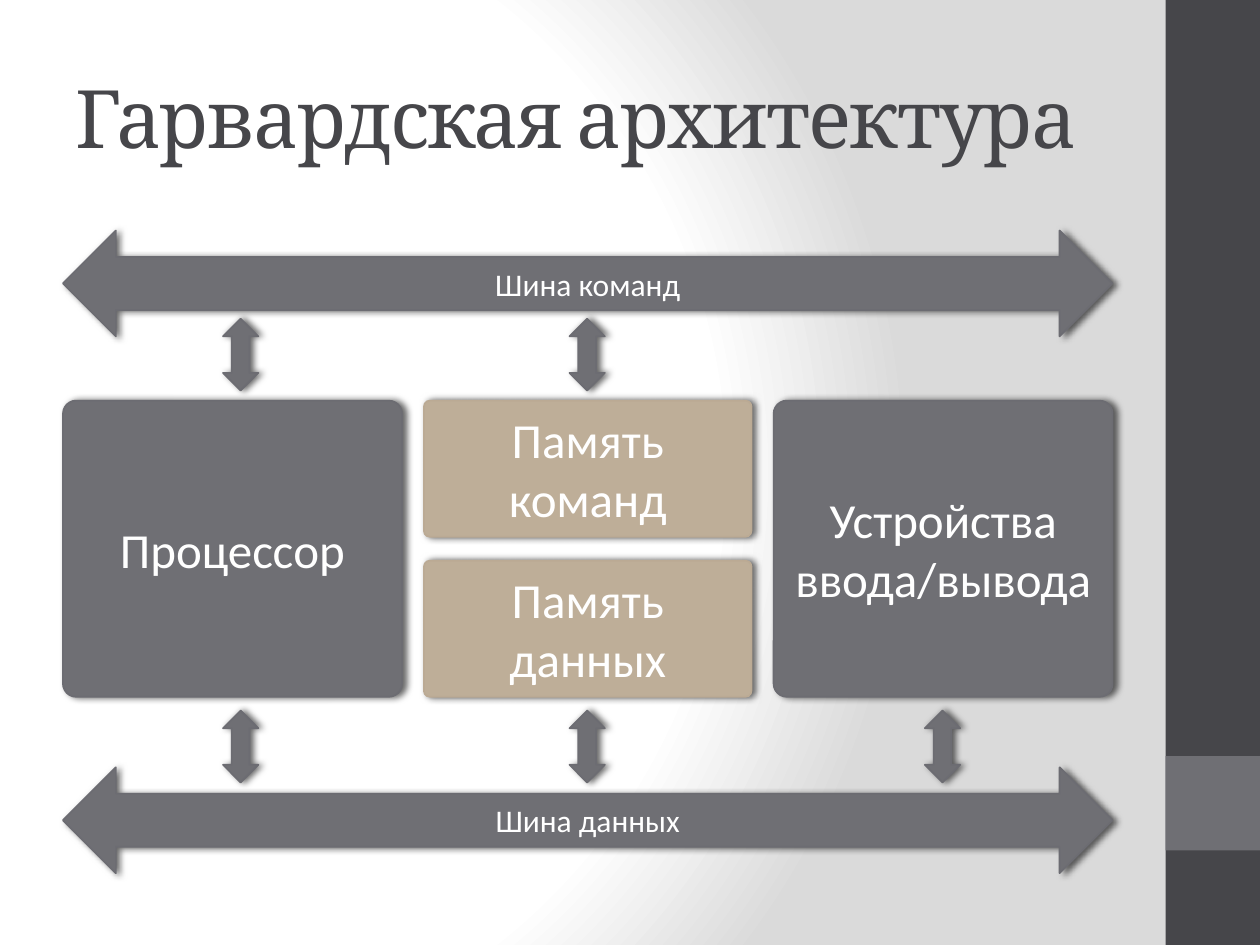
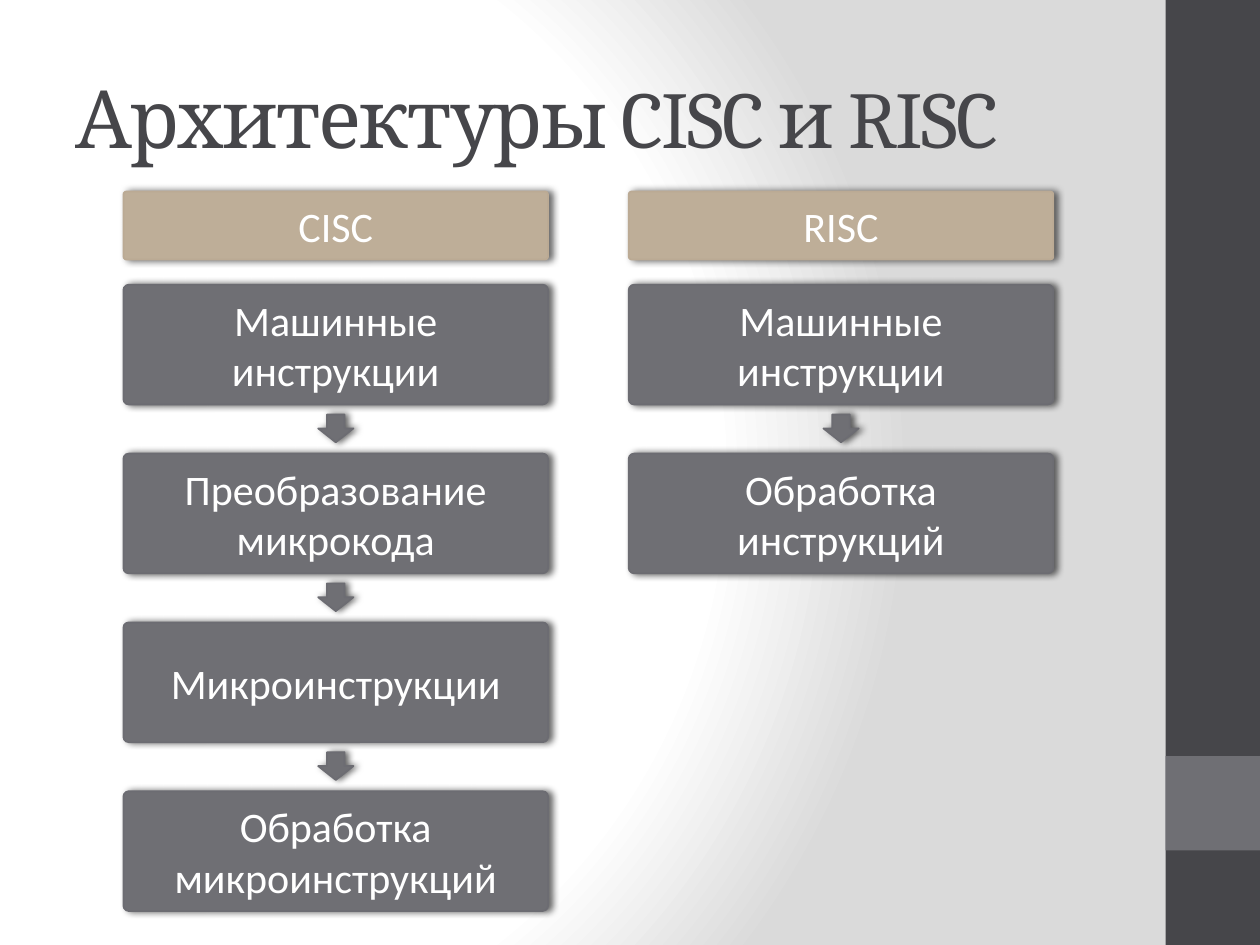
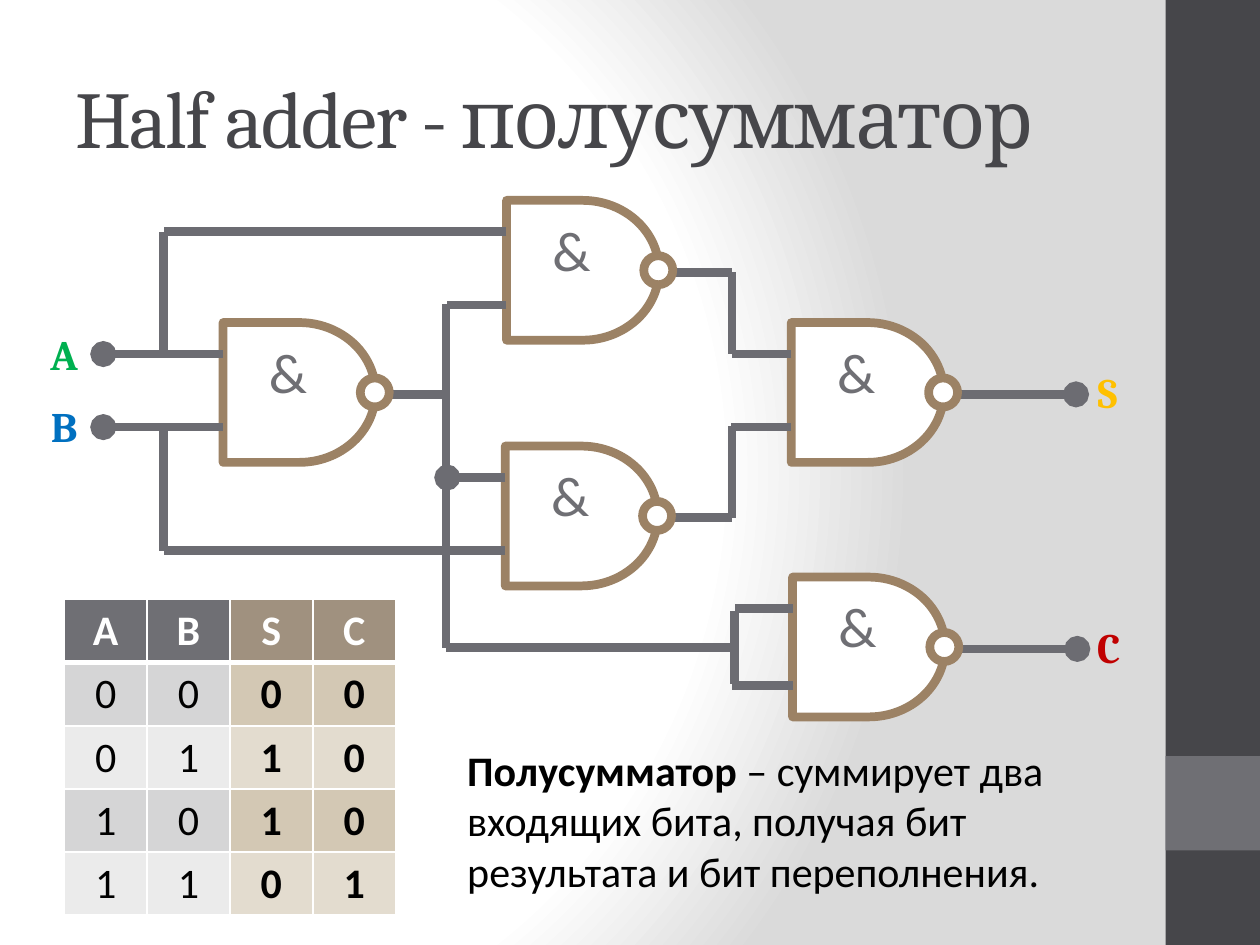
from collections import namedtuple

from lxml import etree
from pptx import Presentation
from pptx.dml.color import RGBColor
from pptx.enum.shapes import MSO_CONNECTOR, MSO_SHAPE
from pptx.enum.text import MSO_ANCHOR, MSO_AUTO_SIZE, PP_ALIGN
from pptx.oxml import parse_xml
from pptx.oxml.ns import nsdecls, qn
from pptx.util import Inches, Pt

DARK = RGBColor(0x46, 0x46, 0x4A)
GRAY = RGBColor(0x6F, 0x6F, 0x74)
GRAY_LINE = RGBColor(0x6C, 0x6C, 0x72)
SAND = RGBColor(0xBE, 0xAE, 0x98)
SAND_LINE = RGBColor(0xBB, 0xAA, 0x94)
BROWN = RGBColor(0x9C, 0x82, 0x65)
WHITE = RGBColor(0xFF, 0xFF, 0xFF)
BLACK = RGBColor(0x00, 0x00, 0x00)
GREEN = RGBColor(0x00, 0xB0, 0x50)
BLUE = RGBColor(0x00, 0x70, 0xC0)
YELLOW = RGBColor(0xFF, 0xC0, 0x00)
RED = RGBColor(0xC0, 0x00, 0x00)
HEADER_FILLS = (GRAY, RGBColor(0xA0, 0x91, 0x7F))
ODD_FILLS = (RGBColor(0xD5, 0xD5, 0xD6), RGBColor(0xD3, 0xC8, 0xB4))
EVEN_FILLS = (RGBColor(0xEB, 0xEB, 0xEB), RGBColor(0xE3, 0xDC, 0xCF))

RECTANGLE = MSO_SHAPE.RECTANGLE
ROUNDED = MSO_SHAPE.ROUNDED_RECTANGLE
BUS = MSO_SHAPE.LEFT_RIGHT_ARROW
LINK = MSO_SHAPE.UP_DOWN_ARROW
DOWN = MSO_SHAPE.DOWN_ARROW
GATE = MSO_SHAPE.FLOWCHART_DELAY
OVAL = MSO_SHAPE.OVAL
STRAIGHT = MSO_CONNECTOR.STRAIGHT
MIDDLE = MSO_ANCHOR.MIDDLE
CENTER = PP_ALIGN.CENTER
GROW = MSO_AUTO_SIZE.SHAPE_TO_FIT_TEXT

BODY_FONT = "Calibri"
TITLE_FONT = "Cambria"
SLIDE_WIDTH, SLIDE_HEIGHT = 10, 7.5
BLANK_LAYOUT = 6
ARROW_WIDTH = 0.28
WIRE_WIDTH = 5

Box = namedtuple("Box", "left top width height")
Gate = namedtuple("Gate", "left top upper lower output")

TITLE_BOX = Box(0.5, 0.3, 8.33, 1.25)


def emu(box):
    return [Inches(length) for length in box]


def set_font(paragraph, size, color, name=BODY_FONT, bold=False):
    font = paragraph.font
    font.name, font.size, font.bold = name, Pt(size), bold
    font.color.rgb = color


def add_shape(slide, preset, box, fill, line=None, line_width=1):
    shape = slide.shapes.add_shape(preset, *emu(box))
    shape.shadow.inherit = False
    shape.fill.solid()
    shape.fill.fore_color.rgb = fill
    if line is None:
        shape.line.fill.background()
    else:
        shape.line.color.rgb = line
        shape.line.width = Pt(line_width)
    if preset == ROUNDED:
        shape.adjustments[0] = 0.044
    return shape


def write_centered(shape, text, size, color):
    paragraph = shape.text_frame.paragraphs[0]
    paragraph.text = text
    paragraph.alignment = CENTER
    set_font(paragraph, size, color)


def add_block(slide, preset, box, text="", size=24, fill=GRAY, line=GRAY_LINE):
    """Add a shape with a soft shadow and white centred text."""
    shape = add_shape(slide, preset, box, fill, line)
    shape.element.find(".//" + qn("a:effectLst")).append(parse_xml(
        f'<a:outerShdw {nsdecls("a")} blurRad="{Pt(4)}" dist="{Pt(2)}" dir="0" rotWithShape="0">'
        '<a:srgbClr val="000000"><a:alpha val="60000"/></a:srgbClr></a:outerShdw>'))
    if text:
        write_centered(shape, text, size, WHITE)


def add_heading_text(slide, box, text, size, color, bold=False, alignment=None):
    """Add text in the tightly spaced title font."""
    text_box = slide.shapes.add_textbox(*emu(box))
    frame = text_box.text_frame
    frame.word_wrap = True
    frame.vertical_anchor = MIDDLE
    paragraph = frame.paragraphs[0]
    paragraph.text = text
    paragraph.alignment = alignment
    set_font(paragraph, size, color, TITLE_FONT, bold)
    for properties in text_box.element.iter(qn("a:defRPr")):
        properties.set("spc", "-100")


def add_wire(slide, start, end, dotted=False):
    wire = slide.shapes.add_connector(STRAIGHT, *emu(start + end))
    wire.line.color.rgb = GRAY_LINE
    wire.line.width = Pt(WIRE_WIDTH)
    if dotted:
        etree.SubElement(wire.line._get_or_add_ln(), qn("a:tailEnd"), type="oval")
    etree.SubElement(wire.element.spPr, qn("a:effectLst"))


def set_master_background(presentation):
    master = presentation.slide_master
    master.background.fill.gradient()
    gradient = master.element.find(".//" + qn("p:bg") + "//" + qn("a:gradFill"))
    stops = "".join(
        f'<a:gs pos="{position}000"><a:srgbClr val="{color}"/></a:gs>'
        for position, color in ((0, "FFFFFF"), (75, "FFFFFF"), (100, "DADADA")))
    gradient.getparent().replace(gradient, parse_xml(
        f'<a:gradFill {nsdecls("a")} rotWithShape="1"><a:gsLst>{stops}</a:gsLst>'
        '<a:path path="circle"><a:fillToRect l="20000" t="50000" r="100000" b="50000"/>'
        '</a:path></a:gradFill>'))


def start_slide(presentation, title):
    """Add a slide with the side band and its title."""
    slide = presentation.slides.add_slide(presentation.slide_layouts[BLANK_LAYOUT])
    band = 0.75
    left = SLIDE_WIDTH - band
    add_shape(slide, RECTANGLE, Box(left, 0, band, SLIDE_HEIGHT), DARK)
    add_shape(slide, RECTANGLE, Box(left, SLIDE_HEIGHT - 2 * band, band, band), GRAY)
    add_heading_text(slide, TITLE_BOX, title, 46, DARK)
    return slide


def draw_buses(slide, box):
    """Draw two buses with the processor, memories and devices between them."""
    bus_height, link_height = 0.84, 0.57
    block_top, block_height = box.top + 1.35, 2.35
    side_width, memory_width, memory_height = 2.69, 2.6, 1.08
    for left, text in ((box.left, "Процессор"),
                       (box.left + box.width - side_width, "Устройства ввода/вывода")):
        add_block(slide, ROUNDED, Box(left, block_top, side_width, block_height), text, 28)
    memory_left = box.left + (box.width - memory_width) / 2
    for top, text in ((block_top, "Память команд"),
                      (block_top + block_height - memory_height, "Память данных")):
        add_block(slide, ROUNDED, Box(memory_left, top, memory_width, memory_height),
                  text, 28, SAND, SAND_LINE)
    link_lefts = [box.left + offset for offset in (1.27, 4.02, 6.84)]
    for bus_top, text, link_top, lefts in (
            (box.top, "Шина команд", box.top + 0.7, link_lefts[:2]),
            (box.top + box.height - bus_height, "Шина данных", box.top + 3.81, link_lefts)):
        add_block(slide, BUS, Box(box.left, bus_top, box.width, bus_height), text, 18)
        for left in lefts:
            add_block(slide, LINK, Box(left, link_top, ARROW_WIDTH, link_height))


def draw_stack(slide, box, heading, steps):
    """Draw a heading and the steps below it, joined by arrows."""
    add_block(slide, ROUNDED, box, heading, fill=SAND, line=SAND_LINE)
    step_height, pitch = 0.95, 1.34
    arrow_left = box.left + (box.width - ARROW_WIDTH) / 2
    for index, text in enumerate(steps):
        top = box.top + 0.74 + index * pitch
        if index:
            add_block(slide, DOWN, Box(arrow_left, top - 0.31, ARROW_WIDTH, 0.22))
        add_block(slide, ROUNDED, Box(box.left, top, box.width, step_height), text)


def draw_gate(slide, gate, dotted_inputs=(False, False), dotted_output=False, lower_pin=0.83):
    """Draw a NAND gate; upper, lower and output are the lengths of its wires."""
    left, top = gate.left, gate.top
    body = add_shape(slide, GATE, Box(left, top, 1.21, 1.11), WHITE, BROWN, WIRE_WIDTH)
    write_centered(body, "&", 32, GRAY)
    body.text_frame.margin_top = 0
    body.text_frame.margin_bottom = Inches(0.34)
    for pin, length, dotted in zip((0.25, lower_pin), (gate.upper, gate.lower), dotted_inputs):
        add_wire(slide, (left, top + pin), (left - length, top + pin), dotted)
    output_left, output_top = left + 1.32, top + 0.57
    add_wire(slide, (output_left, output_top), (output_left + gate.output, output_top),
             dotted_output)
    add_shape(slide, OVAL, Box(left + 1.09, top + 0.44, 0.23, 0.23), WHITE, BROWN, WIRE_WIDTH)


def draw_circuit(slide, box):
    """Draw five gates, the wires between them and the terminal letters."""
    x, y = box.left, box.top
    draw_gate(slide, Gate(x + 1.51, y + 0.97, 0.95, 0.95, 0.47), dotted_inputs=(True, True))
    draw_gate(slide, Gate(x + 3.75, y + 1.95, 0.46, 2.71, 0.48), dotted_inputs=(True, False))
    draw_gate(slide, Gate(x + 3.76, y, 2.72, 0.47, 0.47))
    draw_gate(slide, Gate(x + 6.02, y + 0.97, 0.47, 0.48, 0.94), dotted_output=True)
    draw_gate(slide, Gate(x + 6.03, y + 2.99, 0.46, 0.48, 0.94), dotted_output=True,
              lower_pin=0.86)
    for wire_left, top, bottom in ((1.04, 0.25, 1.22), (1.04, 1.79, 2.78), (3.28, 0.82, 3.55),
                                   (5.55, 0.57, 1.22), (5.55, 1.79, 2.52), (5.57, 3.26, 3.84)):
        add_wire(slide, (x + wire_left, y + top), (x + wire_left, y + bottom))
    add_wire(slide, (x + 3.28, y + 3.55), (x + 5.54, y + 3.55))
    for left, top, letter, color in ((0, 1.07, "A", GREEN), (0, 1.64, "B", BLUE),
                                     (8.28, 1.37, "S", YELLOW), (8.29, 3.39, "C", RED)):
        add_heading_text(slide, Box(x + left, y + top, 0.5, 0.3), letter, 24, color, True, CENTER)


def set_cell_borders(cell, widths):
    properties = cell._tc.get_or_add_tcPr()
    for index, (edge, width) in enumerate(widths.items()):
        properties.insert(index, parse_xml(
            f'<a:ln{edge} {nsdecls("a")} w="{Pt(width)}"><a:solidFill>'
            f'<a:srgbClr val="{WHITE}"/></a:solidFill></a:ln{edge}>'))


def draw_truth_table(slide, box):
    rows = ("ABSC", "0000", "0110", "1010", "1101")
    table = slide.shapes.add_table(len(rows), len(rows[0]), *emu(box)).table
    for row_index, row in enumerate(rows):
        header = row_index == 0
        fills = HEADER_FILLS if header else ODD_FILLS if row_index % 2 else EVEN_FILLS
        for column_index, value in enumerate(row):
            is_result = column_index >= 2
            cell = table.cell(row_index, column_index)
            write_centered(cell, value, 24, WHITE if header else BLACK)
            cell.text_frame.paragraphs[0].font.bold = header or is_result
            cell.fill.solid()
            cell.fill.fore_color.rgb = fills[is_result]
            set_cell_borders(cell, {"L": 1, "R": 1, "T": 3 if row_index == 1 else 1,
                                    "B": 3 if header else 1})


def write_definition(slide, box):
    frame = slide.shapes.add_textbox(*emu(box)).text_frame
    frame.word_wrap = True
    frame.auto_size = GROW
    paragraph = frame.paragraphs[0]
    set_font(paragraph, 24, BLACK)
    term = paragraph.add_run()
    term.text = "Полусумматор"
    term.font.bold = True
    paragraph.add_run().text = (
        " – суммирует два входящих бита, получая бит результата и бит переполнения.")


def main():
    presentation = Presentation()
    presentation.slide_width = Inches(SLIDE_WIDTH)
    presentation.slide_height = Inches(SLIDE_HEIGHT)
    set_master_background(presentation)

    slide = start_slide(presentation, "Гарвардская архитектура")
    draw_buses(slide, Box(0.5, 1.83, 8.33, 5.1))

    slide = start_slide(presentation, "Архитектуры CISC и RISC")
    draw_stack(slide, Box(0.98, 1.52, 3.37, 0.54), "CISC", (
        "Машинные инструкции", "Преобразование микрокода",
        "Микроинструкции", "Обработка микроинструкций"))
    draw_stack(slide, Box(4.99, 1.52, 3.37, 0.54), "RISC", (
        "Машинные инструкции", "Обработка инструкций"))

    slide = start_slide(presentation, "Half adder - полусумматор")
    draw_circuit(slide, Box(0.26, 1.59, 8.79, 4.1))
    draw_truth_table(slide, Box(0.51, 4.76, 2.63, 2.5))
    write_definition(slide, Box(3.61, 5.86, 5.29, 1.31))

    presentation.save("out.pptx")


if __name__ == "__main__":
    main()
